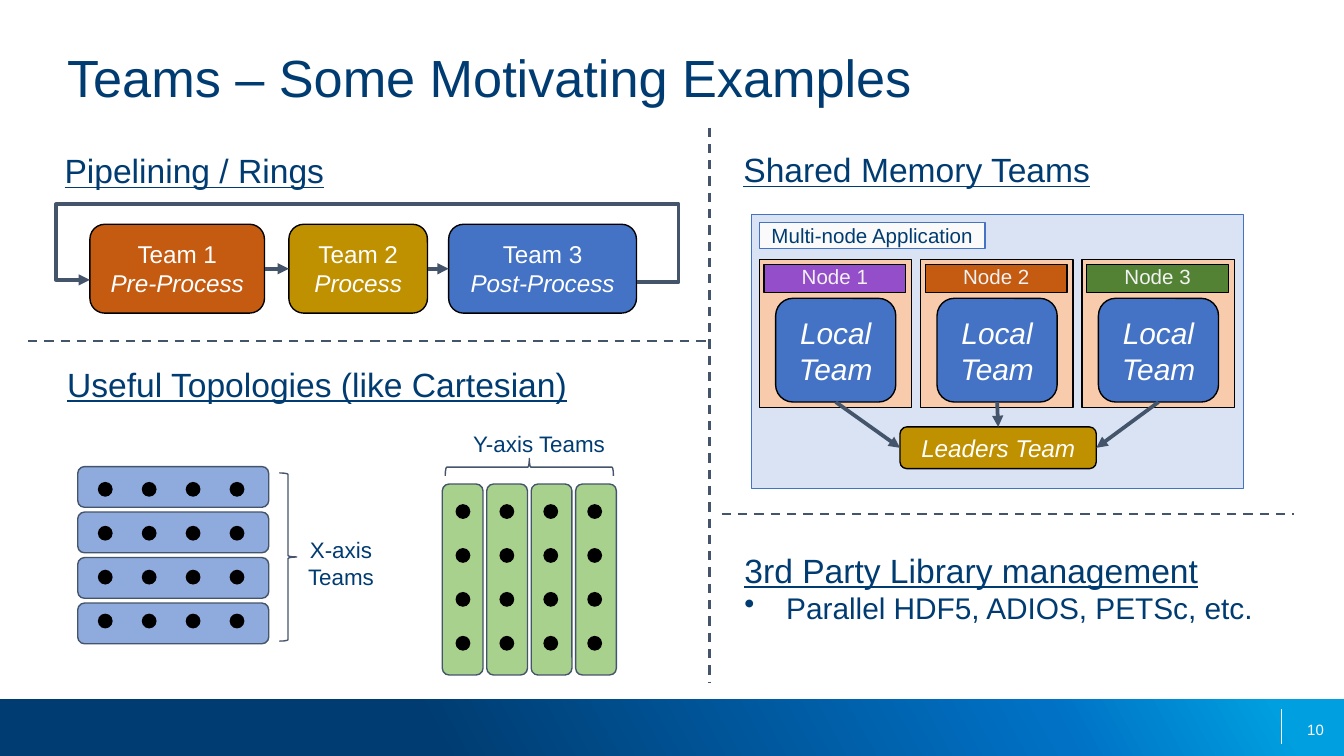
import copy

import pptx
import pptx.dml.color
import pptx.enum.dml
import pptx.enum.shapes
import pptx.enum.text
import pptx.oxml.ns
import pptx.util
from lxml import etree

Cm = pptx.util.Cm
Pt = pptx.util.Pt
qn = pptx.oxml.ns.qn
Shape = pptx.enum.shapes.MSO_SHAPE
Connector = pptx.enum.shapes.MSO_CONNECTOR
Align = pptx.enum.text.PP_ALIGN
Anchor = pptx.enum.text.MSO_ANCHOR

NAVY, SLATE, BLUE, GOLD, ORANGE = "003C71", "44546A", "4472C4", "BF9000", "C55A11"
BLACK, WHITE = "000000", "FFFFFF"
TOP, LEFT, BOTTOM, RIGHT = range(4)


def rgb(code):
    return pptx.dml.color.RGBColor.from_string(code)


class SlideArtist:
    font = "Arial"
    thin = 0.75

    def __init__(self, slide):
        self.slide = slide

    def typeset(self, frame, lines, size, color, align, anchor, margin, italics=(), underline=None):
        frame.word_wrap = True
        frame.vertical_anchor = anchor
        if margin is not None:
            frame.margin_left = frame.margin_right = Cm(margin)
            frame.margin_top = frame.margin_bottom = Cm(margin)
        for index, line in enumerate(lines):
            paragraph = frame.paragraphs[0] if index == 0 else frame.add_paragraph()
            paragraph.text = line
            paragraph.alignment = align
            font = paragraph.font
            font.name, font.size, font.color.rgb = self.font, Pt(size), rgb(color)
            font.underline = underline
            if index in italics:
                font.italic = True

    def text(self, box, lines, size, color=NAVY, align=Align.LEFT, anchor=Anchor.TOP, underline=None):
        frame = self.slide.shapes.add_textbox(*map(Cm, box)).text_frame
        self.typeset(frame, lines, size, color, align, anchor, 0, underline=underline)
        return frame

    def heading(self, box, words):
        return self.text(box, [words], 18, underline=True)

    def bullet(self, frame, words, size):
        paragraph = frame.add_paragraph()
        paragraph.text = words
        font = paragraph.font
        font.name, font.size, font.color.rgb = self.font, Pt(size), rgb(NAVY)
        properties = paragraph._p.get_or_add_pPr()
        properties.set("marL", str(Cm(0.79)))
        properties.set("indent", str(Cm(-0.79)))
        mark = etree.Element(qn("a:buChar"), char="•")
        properties.insert(0, mark)

    def shape(self, kind, box, fill=None, line=None):
        shape = self.slide.shapes.add_shape(kind, *map(Cm, box))
        shape.shadow.inherit = False
        if fill:
            shape.fill.solid()
            shape.fill.fore_color.rgb = rgb(fill)
        else:
            shape.fill.background()
        if line:
            shape.line.color.rgb = rgb(line)
            shape.line.width = Pt(self.thin)
        else:
            shape.line.fill.background()
        return shape

    def team(self, box, fill, lines, size=13, italics=(0, 1)):
        shape = self.shape(Shape.ROUNDED_RECTANGLE, box, fill, BLACK)
        self.typeset(shape.text_frame, lines, size, WHITE, Align.CENTER, Anchor.MIDDLE, None, italics)
        return shape

    def label(self, box, fill, line, words, color):
        shape = self.shape(Shape.RECTANGLE, box, fill, line)
        self.typeset(shape.text_frame, [words], 11, color, Align.CENTER, Anchor.TOP, 0)

    def dots(self, left, top, pitch=0.83, count=4):
        for row in range(count):
            for column in range(count):
                self.shape(Shape.OVAL, (left + pitch * column, top + pitch * row, 0.28, 0.28), BLACK)

    def gradient(self, box, stops, angle):
        shape = self.shape(Shape.RECTANGLE, box, WHITE)
        shape.fill.gradient()
        shape.fill.gradient_angle = angle
        stop_list = shape._element.spPr.find(".//" + qn("a:gsLst"))
        while len(stop_list) < len(stops):
            stop_list.append(copy.deepcopy(stop_list[-1]))
        for stop, (position, color) in zip(shape.fill.gradient_stops, stops):
            stop.position = position
            stop.color.rgb = rgb(color)

    def line(self, ends, color=SLATE, width=1.25, dashed=False, kind=Connector.STRAIGHT):
        connector = self.slide.shapes.add_connector(kind, *map(Cm, ends))
        connector.line.color.rgb = rgb(color)
        connector.line.width = Pt(width)
        if dashed:
            connector.line.dash_style = pptx.enum.dml.MSO_LINE.DASH
        etree.SubElement(connector._element.spPr, qn("a:effectLst"))
        return connector

    def arrow(self, ends=(0, 0, 0, 0), kind=Connector.STRAIGHT):
        connector = self.line(ends, width=2, kind=kind)
        outline = connector._element.spPr.find(qn("a:ln"))
        etree.SubElement(outline, qn("a:tailEnd"), type="triangle")
        return connector

    def join(self, source, source_side, target, target_side):
        connector = self.arrow()
        connector.begin_connect(source, source_side)
        connector.end_connect(target, target_side)

    def return_arrow(self, box, adjustments):
        left, top, width, height = box
        connector = self.arrow((left, top, left + width, top + height), Connector.ELBOW)
        properties = connector._element.spPr
        properties.find(qn("a:xfrm")).set("rot", str(180 * 60000))
        geometry = properties.find(qn("a:prstGeom"))
        geometry.set("prst", "bentConnector5")
        guides = geometry.find(qn("a:avLst"))
        for number, value in enumerate(adjustments, 1):
            etree.SubElement(guides, qn("a:gd"), name=f"adj{number}", fmla=f"val {round(value * 100000)}")


def main():
    deck = pptx.Presentation()
    deck.slide_width, deck.slide_height = Cm(25.4), Cm(14.29)
    art = SlideArtist(deck.slides.add_slide(deck.slide_layouts[6]))

    art.gradient((0, 13.22, 25.4, 1.07), [(0.32, NAVY), (0.78, "0071C5"), (0.95, "009FDF")], 29)
    art.line((24.22, 13.41, 24.22, 14.07), WHITE, 0.75)
    art.text((19.1, 13.41, 5.92, 0.76), ["10"], 8, WHITE, Align.RIGHT, Anchor.MIDDLE)
    art.text((1.27, 0.86, 22.86, 2.41), ["Teams – Some Motivating Examples"], 28)

    art.heading((1.22, 2.84, 11.5, 0.9), "Pipelining / Rings")
    stages = [
        art.team((left, 4.24, width, 1.68), fill, [f"Team {number}", task], italics=(1,))
        for number, (left, width, fill, task) in enumerate([
            (1.7, 3.3, ORANGE, "Pre-Process"),
            (5.46, 2.62, GOLD, "Process"),
            (8.48, 3.55, BLUE, "Post-Process"),
        ], 1)
    ]
    for before, after in zip(stages, stages[1:]):
        art.join(before, RIGHT, after, LEFT)
    loop_width, loop_height = 10.33, 0.04
    art.return_arrow((1.7, 5.29, loop_width, loop_height),
                     (-0.8 / loop_width, 1.47 / loop_height, 1 + 0.64 / loop_width))

    art.heading((14.05, 2.82, 9.95, 0.9), "Shared Memory Teams")
    art.shape(Shape.RECTANGLE, (14.2, 4.06, 9.3, 5.17), "DAE3F3", BLUE)
    art.label((14.35, 4.21, 4.27, 0.49), "FAFAFA", BLUE, "Multi-node Application", NAVY)
    leaders = art.team((17.01, 8.07, 3.71, 0.79), GOLD, ["Leaders Team"])
    for index, (fill, side) in enumerate([("954ECA", LEFT), (ORANGE, TOP), ("548235", RIGHT)]):
        left = 14.35 + 3.05 * index
        art.shape(Shape.RECTANGLE, (left, 4.91, 2.88, 2.79), "F8CBAD", BLACK)
        art.label((left + 0.09, 5, 2.68, 0.53), fill, BLACK, f"Node {index + 1}", "F2F2F2")
        local = art.team((left + 0.31, 5.64, 2.27, 1.96), BLUE, ["Local", "Team"], 16)
        art.join(local, BOTTOM, leaders, side)

    for ends in [(13.41, 2.41, 13.41, 12.9), (0.53, 6.45, 13.41, 6.45), (13.64, 9.71, 24.46, 9.71)]:
        art.line(ends, dashed=True)

    art.heading((1.27, 6.88, 12.1, 0.9), "Useful Topologies (like Cartesian)")
    for index in range(4):
        art.shape(Shape.ROUNDED_RECTANGLE, (1.47, 8.82 + 0.86 * index, 3.61, 0.77), "8FAADC", SLATE)
        art.shape(Shape.ROUNDED_RECTANGLE, (8.36 + 0.84 * index, 9.15, 0.77, 3.61), "A9D18E", SLATE)
    art.dots(1.85, 9.11)
    art.dots(8.61, 9.53)
    art.shape(Shape.RIGHT_BRACE, (5.28, 8.94, 0.33, 3.18), line=SLATE)
    art.shape(Shape.RIGHT_BRACE, (9.84, 7.24, 0.33, 3.18), line=SLATE).rotation = 270
    art.text((5.44, 10.13, 2.01, 1.45), ["X-axis", "Teams"], 12, align=Align.CENTER)
    art.text((8.69, 8.13, 3, 0.58), ["Y-axis Teams"], 12, align=Align.CENTER)

    libraries = art.heading((14.07, 10.39, 10.95, 2.67), "3rd Party Library management")
    art.bullet(libraries, "Parallel HDF5, ADIOS, PETSc, etc.", 16)

    deck.save("out.pptx")


if __name__ == "__main__":
    main()
